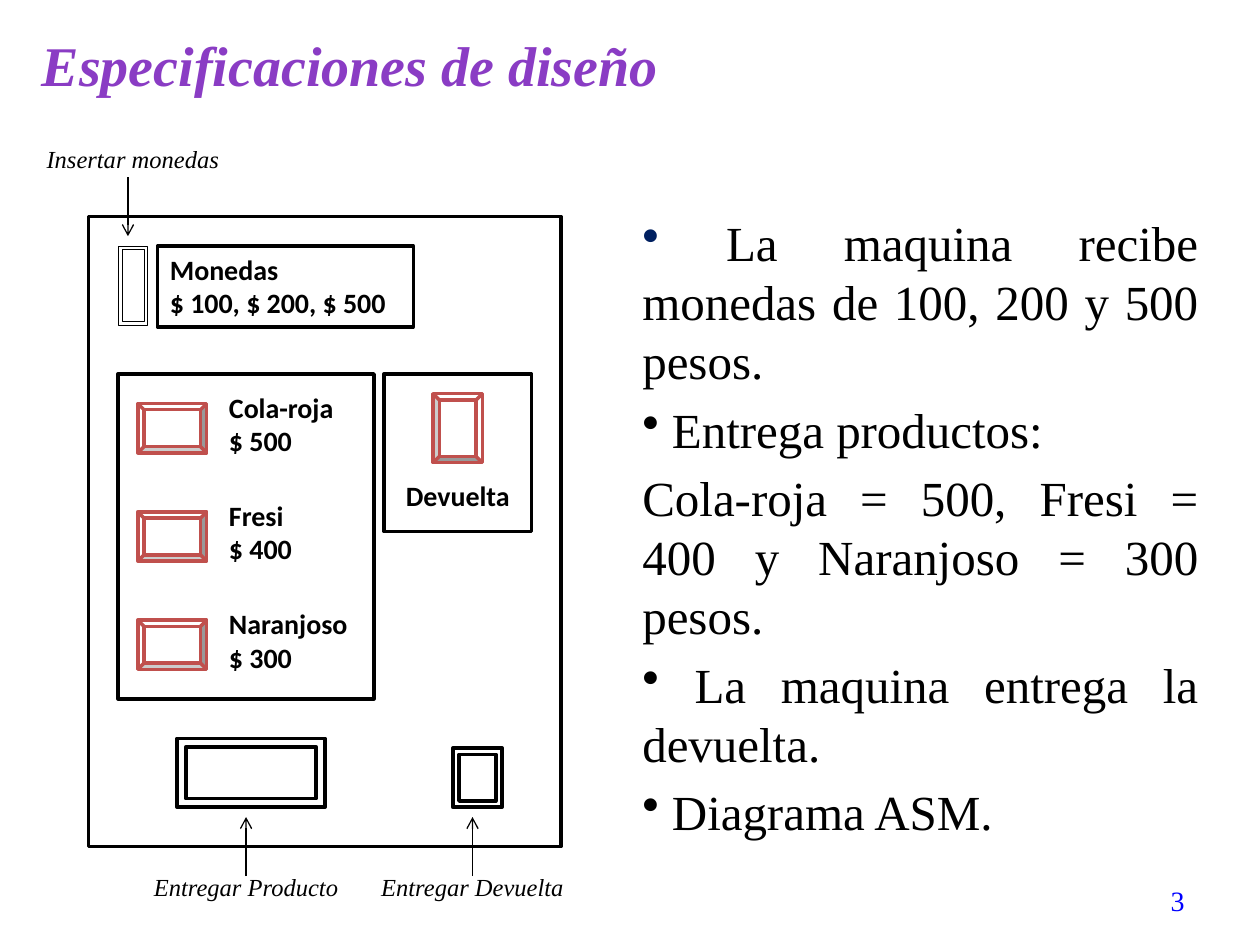
from dataclasses import dataclass

from lxml.etree import SubElement
from pptx import Presentation
from pptx.dml.color import RGBColor
from pptx.enum.shapes import MSO_CONNECTOR, MSO_SHAPE
from pptx.enum.text import MSO_ANCHOR, PP_ALIGN
from pptx.oxml.ns import qn
from pptx.util import Inches, Pt


@dataclass(frozen=True)
class Theme:
    """Colours, fonts and type sizes of the slide."""
    ink: str = "000000"
    paper: str = "FFFFFF"
    title: str = "8A3CC4"
    button: str = "C0504D"
    first_bullet: str = "002060"
    number: str = "0000FF"
    serif: str = "Times New Roman"
    sans: str = "Calibri"
    title_size: int = 32
    body_size: int = 28
    label_size: int = 16
    note_size: int = 14


THEME = Theme()
WIDTH, HEIGHT = Inches(10), Inches(7.5)
COLUMNS, ROWS = 128, 96
PRODUCTS = [("Cola-roja", "$ 500"), ("Fresi", "$ 400"), ("Naranjoso", "$ 300")]
REQUIREMENTS = [
    (" La maquina recibe\vmonedas de 100, 200 y 500 pesos.", THEME.first_bullet),
    (" Entrega productos:", THEME.ink),
    ("Cola-roja = 500, Fresi = 400 y Naranjoso = 300 pesos.", None),
    (" La maquina entrega la devuelta.", THEME.ink),
    (" Diagrama ASM.", THEME.ink),
]


def grid(column, row, columns, rows):
    """Turn grid columns and rows into slide lengths."""
    return (int(WIDTH * column / COLUMNS), int(HEIGHT * row / ROWS),
            int(WIDTH * columns / COLUMNS), int(HEIGHT * rows / ROWS))


def write(frame, lines, size, face=THEME.serif, color=THEME.ink,
          align=PP_ALIGN.LEFT, anchor=MSO_ANCHOR.TOP, bold=False, italic=False):
    """Write one paragraph per line in a single style."""
    frame.word_wrap = True
    frame.vertical_anchor = anchor
    for index, line in enumerate(lines):
        paragraph = frame.paragraphs[0] if index == 0 else frame.add_paragraph()
        paragraph.text = line
        paragraph.alignment = align
        font = paragraph.font
        font.name, font.size, font.bold, font.italic = face, Pt(size), bold, italic
        font.color.rgb = RGBColor.from_string(color)


def add_text(slide, place, lines, size, **style):
    """Add a text box on the grid."""
    frame = slide.shapes.add_textbox(*grid(*place)).text_frame
    write(frame, lines, size, **style)
    return frame


def add_part(slide, preset, place, color=THEME.ink, weight=2, rotation=0):
    """Add an outlined part of the machine."""
    part = slide.shapes.add_shape(preset, *grid(*place))
    part.shadow.inherit = False
    part.fill.solid()
    part.fill.fore_color.rgb = RGBColor.from_string(THEME.paper)
    part.line.color.rgb = RGBColor.from_string(color)
    part.line.width = Pt(weight)
    part.rotation = rotation
    return part


def add_button(slide, column, row, rotation=0):
    """Add a bevelled push button."""
    add_part(slide, MSO_SHAPE.BEVEL, (column, row, 7, 5), THEME.button, rotation=rotation)


def add_arrow(slide, column, start, end):
    """Add a vertical arrow between two rows."""
    x, top, _, _ = grid(column, start, 0, 0)
    bottom = grid(column, end, 0, 0)[1]
    arrow = slide.shapes.add_connector(MSO_CONNECTOR.STRAIGHT, x, top, x, bottom)
    arrow.line.color.rgb = RGBColor.from_string(THEME.ink)
    arrow.line.width = Pt(0.75)
    SubElement(arrow.line._get_or_add_ln(), qn("a:tailEnd"), type="arrow")
    SubElement(arrow._element.spPr, qn("a:effectLst"))


def add_note(slide, place, text):
    """Add a centred italic note beside an arrow."""
    add_text(slide, place, [text], THEME.note_size, align=PP_ALIGN.CENTER, italic=True)


def add_bullet(paragraph, color):
    """Give a paragraph a coloured round bullet."""
    properties = paragraph._p.get_or_add_pPr()
    properties.set("marL", "0")
    properties.set("indent", "0")
    bullet_color = SubElement(properties, qn("a:buClr"))
    SubElement(bullet_color, qn("a:srgbClr"), val=color)
    bullet = SubElement(properties, qn("a:buChar"), char="•")
    default_font = properties.find(qn("a:defRPr"))
    if default_font is not None:
        bullet.addnext(default_font)


def add_requirements(slide):
    """Add the justified list of requirements."""
    frame = add_text(slide, (64, 21, 59, 63), [text for text, _ in REQUIREMENTS],
                     THEME.body_size, align=PP_ALIGN.JUSTIFY)
    for index, (paragraph, (_, color)) in enumerate(zip(frame.paragraphs, REQUIREMENTS)):
        if index:
            paragraph.space_before = Pt(THEME.body_size * 0.2)
        if color:
            add_bullet(paragraph, color)


def add_machine(slide):
    """Draw the vending machine with its panels, buttons and outlets."""
    label = dict(size=THEME.label_size, face=THEME.sans, bold=True)
    add_part(slide, MSO_SHAPE.RECTANGLE, (9, 22, 48, 64))
    add_part(slide, MSO_SHAPE.RECTANGLE, (12, 38, 26, 33))
    for index, product in enumerate(PRODUCTS):
        add_button(slide, 14, 41 + 11 * index)
        add_text(slide, (22, 39 + 11 * index, 15, 8.2), product, **label)

    add_part(slide, MSO_SHAPE.FRAME, (18, 75, 15, 7))
    add_part(slide, MSO_SHAPE.FRAME, (45.5, 76.5, 6, 5), rotation=90)
    coins = add_part(slide, MSO_SHAPE.RECTANGLE, (16, 25, 26, 8.2))
    write(coins.text_frame, ["Monedas", "$ 100, $ 200, $ 500"], **label)
    add_part(slide, MSO_SHAPE.FRAME, (12, 25, 3, 8), weight=0.25)

    add_part(slide, MSO_SHAPE.RECTANGLE, (39, 38, 15, 16))
    add_text(slide, (39, 48, 15, 4.7), ["Devuelta"], align=PP_ALIGN.CENTER, **label)
    add_button(slide, 43, 41, rotation=90)


def add_notes_and_arrows(slide):
    """Point out the coin slot and the two outlets."""
    add_arrow(slide, 13, 18, 24)
    add_note(slide, (3, 14, 21, 4.3), "Insertar monedas")
    for column, text in ((25, "Entregar Producto"), (48, "Entregar Devuelta")):
        add_arrow(slide, column, 89, 83)
        add_note(slide, (column - 12, 88, 24, 4.3), text)


def main():
    """Build and save the slide."""
    deck = Presentation()
    deck.slide_width, deck.slide_height = WIDTH, HEIGHT
    slide = deck.slides.add_slide(deck.slide_layouts[6])
    add_text(slide, (91.8, 89, 29.8, 5), ["3"], THEME.label_size, color=THEME.number,
             align=PP_ALIGN.RIGHT, anchor=MSO_ANCHOR.MIDDLE)
    add_machine(slide)
    add_notes_and_arrows(slide)
    add_requirements(slide)
    add_text(slide, (3, 2, 109, 9), ["Especificaciones de diseño"], THEME.title_size,
             color=THEME.title, anchor=MSO_ANCHOR.MIDDLE, bold=True, italic=True)
    deck.save("out.pptx")


if __name__ == "__main__":
    main()
